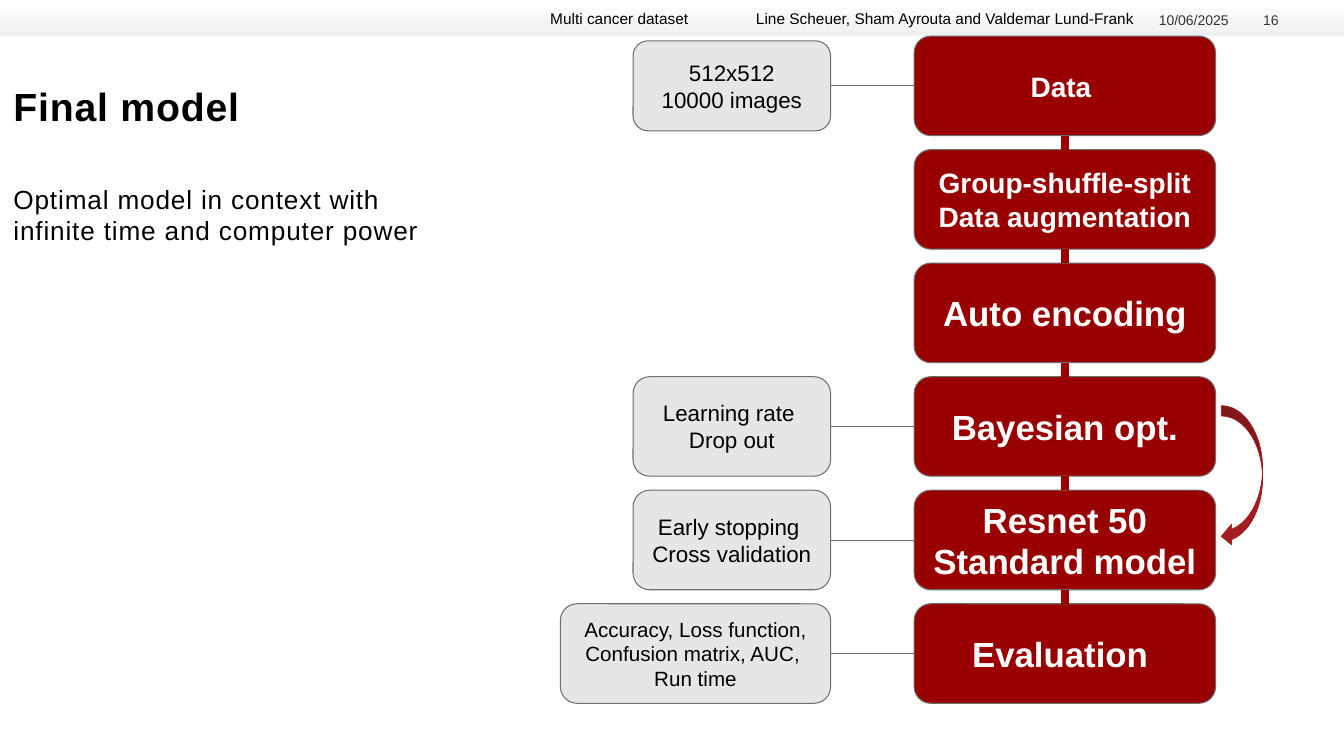
"""Build the final model slide: a pipeline of six steps with side notes."""
from pptx import Presentation
from pptx.dml.color import RGBColor
from pptx.enum.shapes import MSO_CONNECTOR, MSO_SHAPE
from pptx.enum.text import MSO_ANCHOR, MSO_AUTO_SIZE, PP_ALIGN
from pptx.oxml.ns import qn
from pptx.util import Pt
from lxml.etree import SubElement

WHITE = RGBColor(0xFF, 0xFF, 0xFF)
BLACK = RGBColor(0x00, 0x00, 0x00)
RED = RGBColor(0x99, 0x00, 0x00)
CRIMSON = RGBColor(0xA3, 0x1D, 0x20)
PALE = RGBColor(0xE7, 0xE6, 0xE6)
MIST = RGBColor(0xEF, 0xF0, 0xEF)
GREY = RGBColor(0x6E, 0x6E, 0x6E)
DARK = RGBColor(0x33, 0x33, 0x33)


def write(shape, text, size, color, bold=False, align=PP_ALIGN.LEFT,
          anchor=MSO_ANCHOR.TOP, inset=9.6, space=0):
    frame = shape.text_frame
    frame.text = text
    frame.word_wrap = True
    frame.auto_size = MSO_AUTO_SIZE.NONE
    frame.vertical_anchor = anchor
    frame.margin_left = frame.margin_right = Pt(inset)
    frame.margin_top = frame.margin_bottom = Pt(inset)
    for para in frame.paragraphs:
        para.alignment = align
        for run in para.runs:
            run.font.name = "Arial"
            run.font.size = Pt(size)
            run.font.bold = bold
            run.font.color.rgb = color
            if space:
                run.font._element.set("spc", str(space))


def add_box(left, top, width, height, fill, text, size, color, bold):
    box = slide.shapes.add_shape(MSO_SHAPE.ROUNDED_RECTANGLE,
                                 Pt(left), Pt(top), Pt(width), Pt(height))
    box.adjustments[0] = 0.167
    box.shadow.inherit = False
    box.fill.solid()
    box.fill.fore_color.rgb = fill
    box.line.color.rgb = GREY
    box.line.width = Pt(0.75)
    write(box, text, size, color, bold, PP_ALIGN.CENTER, MSO_ANCHOR.MIDDLE)
    return box


deck = Presentation()
deck.slide_width = Pt(960)
deck.slide_height = Pt(540)
slide = deck.slides.add_slide(deck.slide_layouts[5])

band = slide.shapes.add_shape(MSO_SHAPE.RECTANGLE, 0, 0, Pt(960), Pt(26))
band.shadow.inherit = False
band.line.fill.background()
band.fill.gradient()
band.fill.gradient_angle = 270
for stop, color, place in zip(band.fill.gradient_stops, (WHITE, MIST), (0, 1)):
    stop.color.rgb = color
    stop.position = place

title = slide.shapes.title
title.left, title.top, title.width, title.height = 0, Pt(49), Pt(413), Pt(68)
write(title, "Final model", 28, BLACK, bold=True, space=60)

body = slide.shapes.add_textbox(0, Pt(121), Pt(339), Pt(68))
write(body, "Optimal model in context with infinite time and computer power",
      18.7, BLACK, space=60)

HEADS = [
    ("Multi cancer dataset", 393, 106, 11, BLACK, PP_ALIGN.LEFT, MSO_ANCHOR.TOP),
    ("Line Scheuer, Sham Ayrouta and Valdemar Lund-Frank", 540, 294, 11, BLACK,
     PP_ALIGN.LEFT, MSO_ANCHOR.TOP),
    ("10/06/2025", 813.6, 64, 10, DARK, PP_ALIGN.RIGHT, MSO_ANCHOR.BOTTOM),
    ("16", 883.4, 30, 10, DARK, PP_ALIGN.RIGHT, MSO_ANCHOR.BOTTOM),
]
for text, left, width, size, color, align, anchor in HEADS:
    head = slide.shapes.add_textbox(Pt(left), Pt(6.5), Pt(width), Pt(13.7))
    write(head, text, size, color, align=align, anchor=anchor, inset=0)

TOP, STEP, HIGH = 25.8, 81.1, 71.1
EDGE = 593.3
STEPS = [
    ("Data ", 20),
    ("Group-shuffle-split\nData augmentation", 20),
    ("Auto encoding", 24.9),
    ("Bayesian opt.", 24.9),
    ("Resnet 50\nStandard model", 24.9),
    ("Evaluation ", 24.9),
]
NOTES = [
    (0, "512x512\n10000 images", 141.1, 64.3, 16),
    (3, "Learning rate \nDrop out", 141.1, HIGH, 16),
    (4, "Early stopping \nCross validation", 141.1, HIGH, 16),
    (5, "Accuracy, Loss function,\nConfusion matrix, AUC, \nRun time",
     193, HIGH, 14.7),
]
steps = [add_box(653, TOP + row * STEP, 215.3, HIGH, RED, text, size, WHITE, True)
         for row, (text, size) in enumerate(STEPS)]

joins = [(high, 2, low, 0, RED, 6) for high, low in zip(steps, steps[1:])]
for row, text, width, height, size in NOTES:
    top = TOP + row * STEP + (HIGH - height) / 2
    note = add_box(EDGE - width, top, width, height, PALE, text, size, BLACK, False)
    joins.append((steps[row], 1, note, 3, GREY, 0.75))

for start, out, end, into, color, weight in joins:
    line = slide.shapes.add_connector(MSO_CONNECTOR.STRAIGHT, 0, 0, 0, 0)
    line.begin_connect(start, out)
    line.end_connect(end, into)
    line.line.color.rgb = color
    line.line.width = Pt(weight)
    SubElement(line._element.spPr, qn("a:effectLst"))

loop = slide.shapes.add_shape(MSO_SHAPE.CURVED_DOWN_ARROW,
                              Pt(836.7), Pt(325.4), Pt(100.8), Pt(29.5))
loop.rotation = 90
loop.shadow.inherit = False
loop.fill.solid()
loop.fill.fore_color.rgb = CRIMSON
loop.line.color.rgb = CRIMSON
loop.line.width = Pt(0.5)

deck.save("out.pptx")
